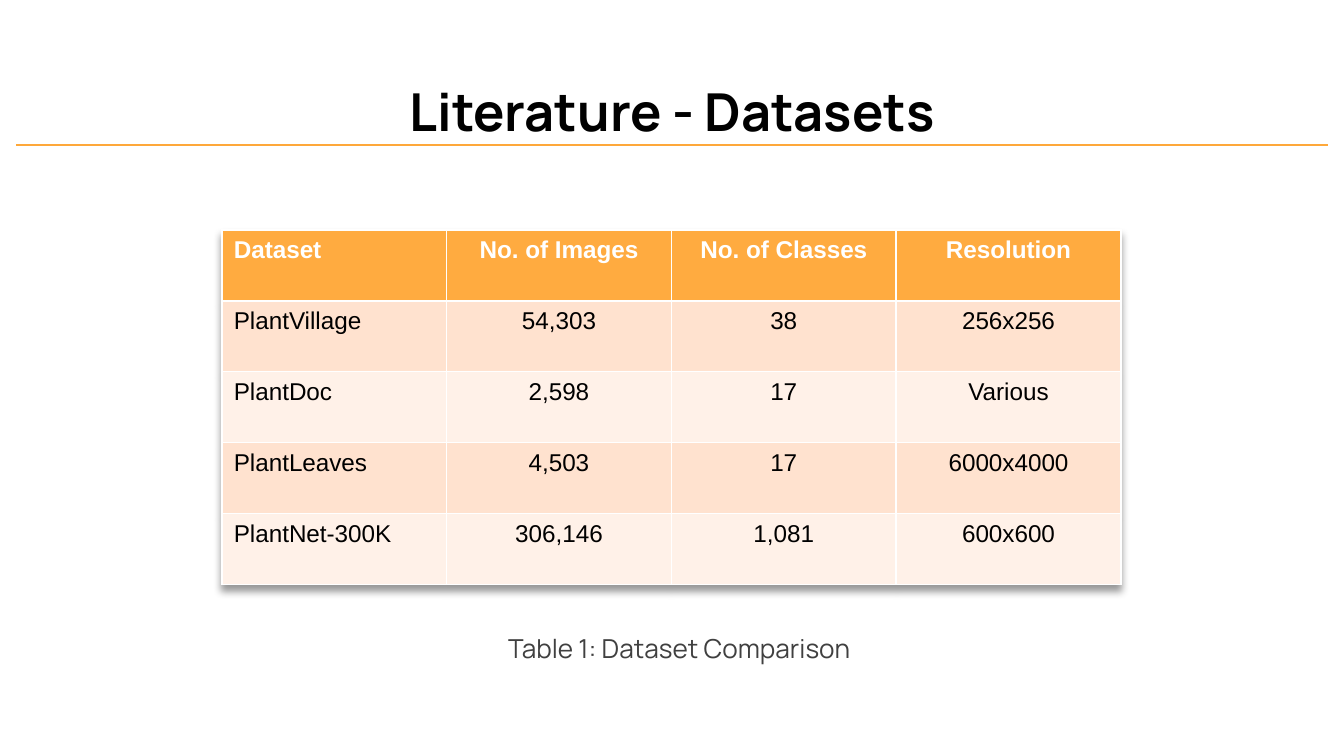
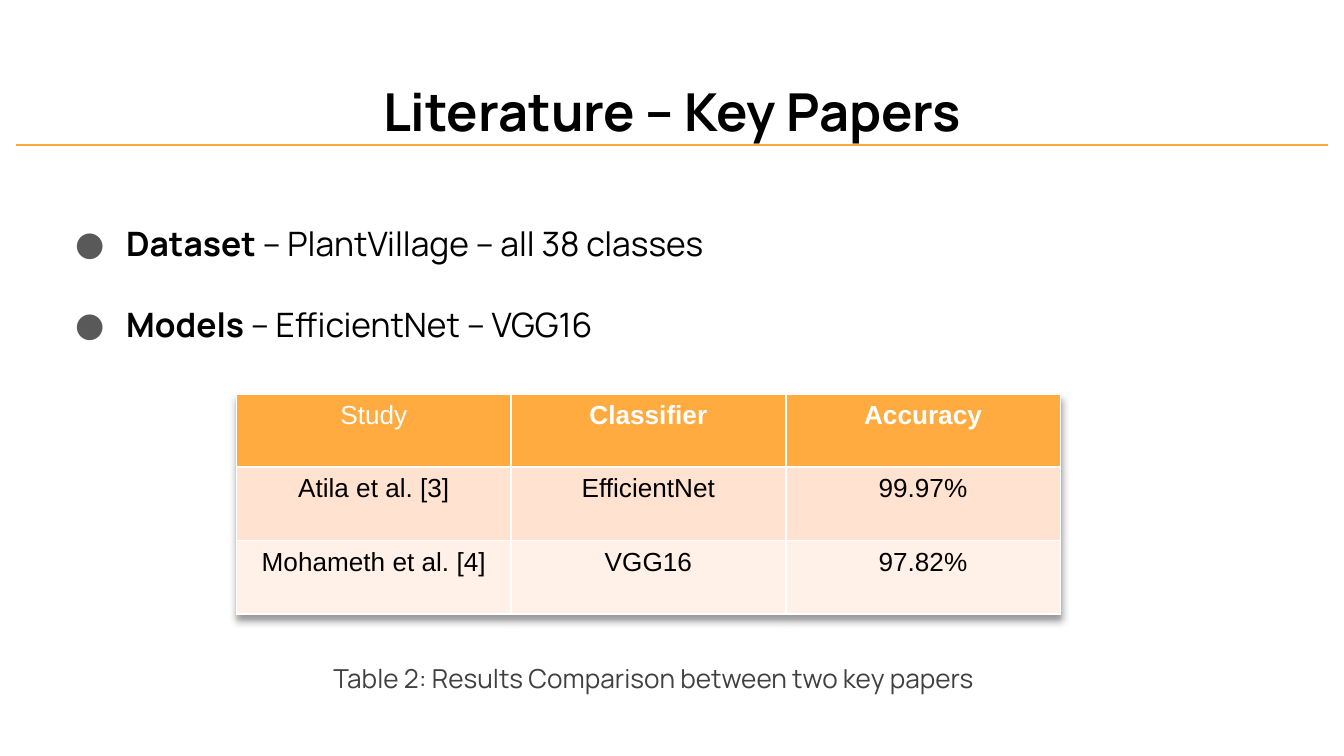
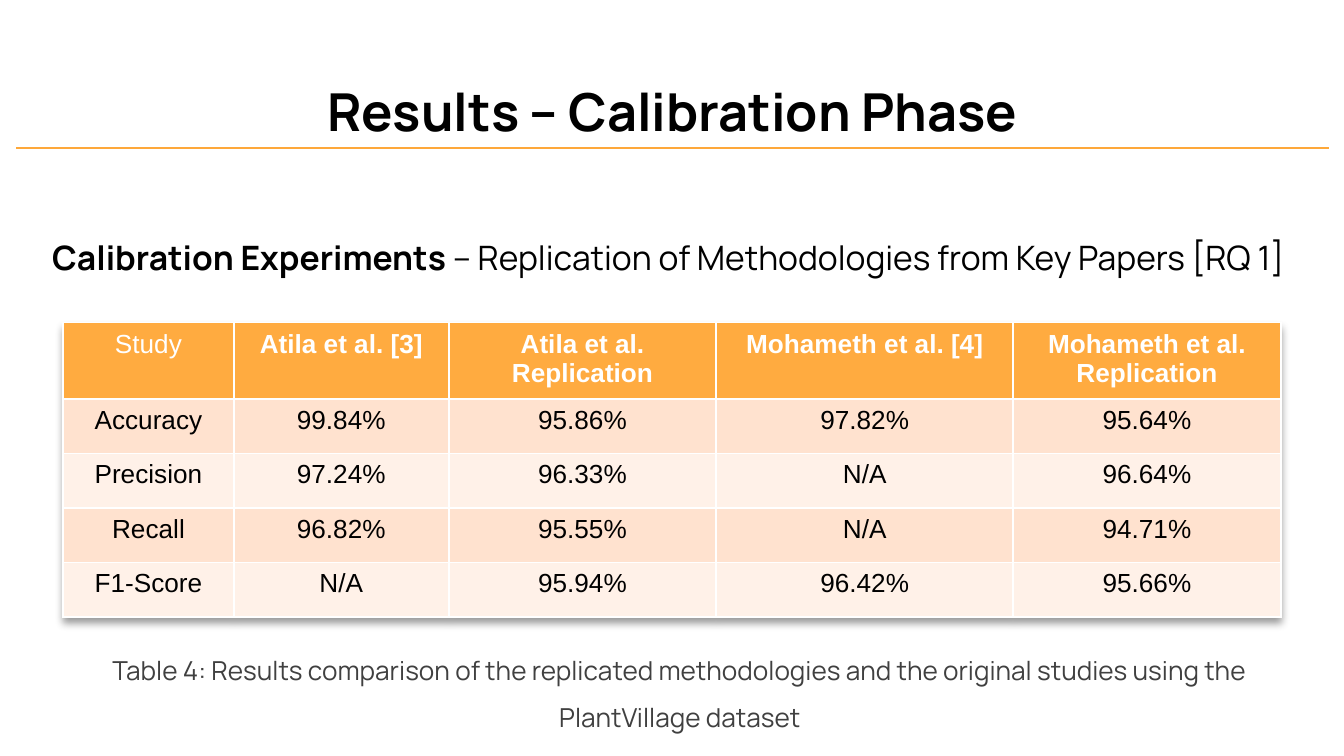
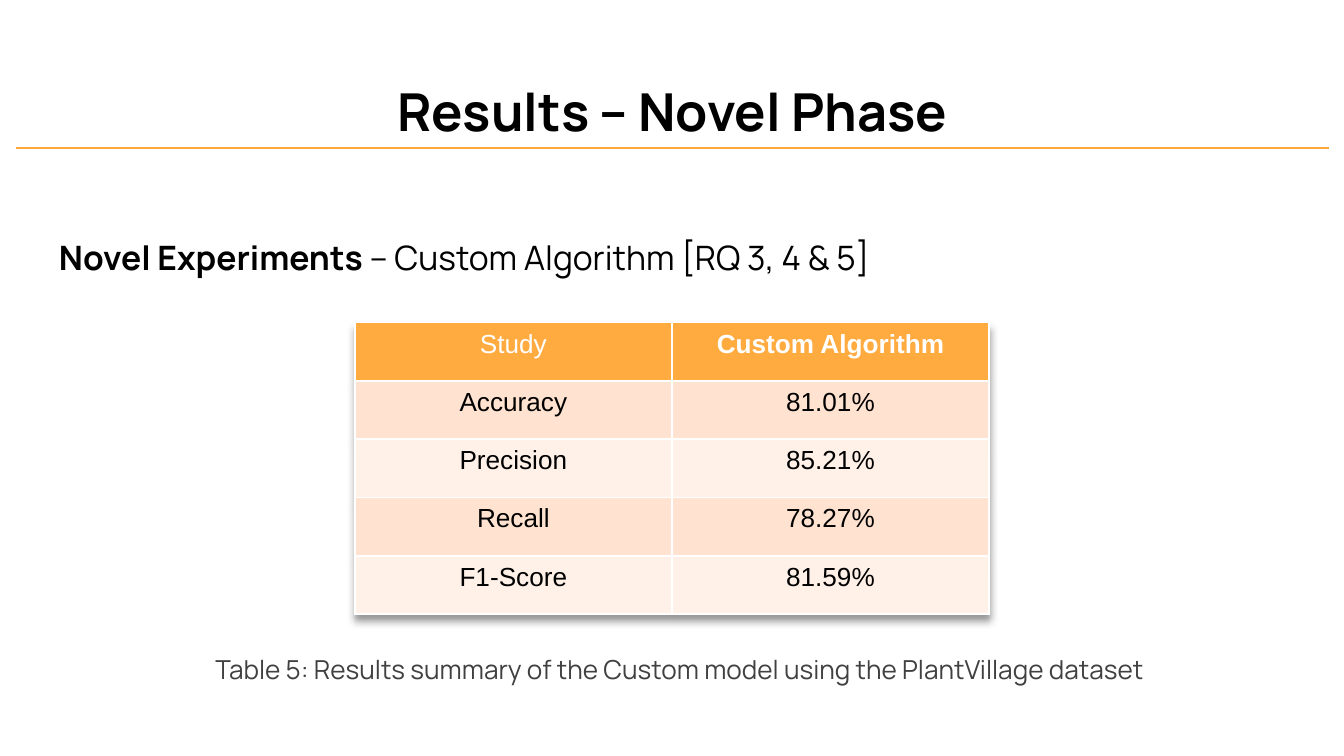
import pptx
import pptx.dml.color
import pptx.enum.shapes
import pptx.enum.text
import pptx.oxml
import pptx.oxml.ns
import pptx.util
from lxml import etree
from pptx.util import Inches

ALIGN = pptx.enum.text.PP_ALIGN
ANCHOR = pptx.enum.text.MSO_ANCHOR
NAMESPACE = pptx.oxml.ns.nsdecls("a")
BLACK, WHITE, GREY, BULLET = "000000", "FFFFFF", "404040", "595959"
RULE, HEADER, BANDS = "FEA83A", "FFAB40", ["FFF1E8", "FFE2CF"]
TITLE_BOX = (0.34, 0.49, 9.32, 0.63)
SHADOW = (
    f'<a:effectLst {NAMESPACE}><a:outerShdw blurRad="50800" dist="38100" dir="5400000" '
    'algn="t" rotWithShape="0"><a:srgbClr val="000000"><a:alpha val="40000"/>'
    '</a:srgbClr></a:outerShdw></a:effectLst>'
)
BULLET_PARTS = [
    f'<a:buClr {NAMESPACE}><a:srgbClr val="{BULLET}"/></a:buClr>',
    f'<a:buFont {NAMESPACE} typeface="Manrope"/>',
    f'<a:buChar {NAMESPACE} char="●"/>',
]


def color(value):
    return pptx.dml.color.RGBColor.from_string(value)


def add_text(slide, box, paragraphs, size, ink, align, spacing=1.0, indent=0.0,
             bulleted=False, anchor=ANCHOR.TOP):
    frame = slide.shapes.add_textbox(*map(Inches, box)).text_frame
    frame.word_wrap = True
    frame.vertical_anchor = anchor
    frame.margin_left = frame.margin_right = Inches(0.1)
    frame.margin_top = frame.margin_bottom = Inches(0.1)
    for index, runs in enumerate(paragraphs):
        paragraph = frame.paragraphs[0] if index == 0 else frame.add_paragraph()
        paragraph.alignment = align
        paragraph.line_spacing = spacing
        paragraph.font.name = "Manrope"
        paragraph.font.size = pptx.util.Pt(size)
        paragraph.font.color.rgb = color(ink)
        for text, bold in runs:
            run = paragraph.add_run()
            run.text = text
            run.font.bold = bold
        properties = paragraph._p.get_or_add_pPr()
        properties.set("marL", str(Inches(indent)))
        if bulleted:
            properties.set("indent", str(Inches(-0.38)))
            for part in BULLET_PARTS:
                properties.insert_element_before(pptx.oxml.parse_xml(part), "a:defRPr")


slides = [
    {
        "title": "Literature - Datasets",
        "rule": (0.12, 9.88, 1.08),
        "body": [],
        "table_box": (1.65, 1.71, 6.69, 2.64),
        "column_shares": [1] * 4,
        "size": 13,
        "first_column": ALIGN.LEFT,
        "margin": 0.09,
        "rows": [
            ["Dataset", "No. of Images", "No. of Classes", "Resolution"],
            ["PlantVillage", "54,303", "38", "256x256"],
            ["PlantDoc", "2,598", "17", "Various"],
            ["PlantLeaves", "4,503", "17", "6000x4000"],
            ["PlantNet-300K", "306,146", "1,081", "600x600"],
        ],
        "caption_box": (1.65, 4.35, 6.69, 0.6),
        "caption": ["Table 1: Dataset Comparison"],
        "caption_spacing": 2.5,
    },
    {
        "title": "Literature – Key Papers",
        "rule": (0.12, 9.88, 1.08),
        "body": [
            [("Dataset ", True), ("– PlantVillage – all 38 classes", False)],
            [("Models", True), (" – EfficientNet – VGG16", False)],
        ],
        "body_box": (0.34, 1.26, 9.32, 3.74),
        "table_box": (1.76, 2.93, 6.13, 1.64),
        "column_shares": [1] * 3,
        "rows": [
            ["Study", "Classifier", "Accuracy"],
            ["Atila et al. [3]", "EfficientNet", "99.97%"],
            ["Mohameth et al. [4]", "VGG16", "97.82%"],
        ],
        "caption_box": (1.76, 4.57, 6.13, 0.6),
        "caption": ["Table 2: Results Comparison between two key papers "],
        "caption_spacing": 2.5,
    },
    {
        "title": "Results – Calibration Phase",
        "rule": (0.12, 9.89, 1.1),
        "body": [[("Calibration Experiments", True),
                  (" – Replication of Methodologies from Key Papers [RQ 1]", False)]],
        "body_box": (0.17, 1.36, 9.65, 3.74),
        "table_box": (0.47, 2.4, 9.06, 2.03),
        "column_shares": [1.27, 1.6, 1.99, 2.21, 1.99],
        "rows": [
            ["Study", "Atila et al. [3]", "Atila et al.\nReplication",
             "Mohameth et al. [4]", "Mohameth et al.\nReplication"],
            ["Accuracy", "99.84%", "95.86%", "97.82%", "95.64%"],
            ["Precision", "97.24%", "96.33%", "N/A", "96.64%"],
            ["Recall", "96.82%", "95.55%", "N/A", "94.71%"],
            ["F1-Score", "N/A", "95.94%", "96.42%", "95.66%"],
        ],
        "caption_box": (0.47, 4.8, 9.06, 0.6),
        "caption": [
            "Table 4: Results comparison of the replicated methodologies "
            "and the original studies using the",
            "PlantVillage dataset",
        ],
        "caption_spacing": 1.5,
    },
    {
        "title": "Results – Novel Phase",
        "rule": (0.12, 9.89, 1.1),
        "body": [[("Novel Experiments", True),
                  (" – Custom Algorithm [RQ 3, 4 & 5]", False)]],
        "body_box": (0.22, 1.36, 9.55, 3.74),
        "table_box": (2.64, 2.4, 4.72, 2.17),
        "column_shares": [1] * 2,
        "rows": [
            ["Study", "Custom Algorithm"],
            ["Accuracy", "81.01%"],
            ["Precision", "85.21%"],
            ["Recall", "78.27%"],
            ["F1-Score", "81.59%"],
        ],
        "caption_box": (1.29, 4.62, 7.42, 0.6),
        "caption": ["Table 5: Results summary of the Custom model using the PlantVillage dataset"],
        "caption_spacing": 1.5,
    },
]

presentation = pptx.Presentation()
presentation.slide_width = Inches(10)
presentation.slide_height = Inches(10) * 9 // 16

for content in slides:
    slide = presentation.slides.add_slide(presentation.slide_layouts[6])
    add_text(slide, TITLE_BOX, [[(content["title"], True)]], 28, BLACK, ALIGN.CENTER)

    if content["body"]:
        bulleted = len(content["body"]) > 1
        add_text(slide, content["body_box"], content["body"], 18, BLACK, ALIGN.LEFT,
                 spacing=2.0, indent=0.5 if bulleted else 0.12, bulleted=bulleted)

    left, right, height = map(Inches, content["rule"])
    rule = slide.shapes.add_connector(
        pptx.enum.shapes.MSO_CONNECTOR.STRAIGHT, left, height, right, height)
    rule.line.color.rgb = color(RULE)
    rule.line.width = pptx.util.Pt(1)
    etree.SubElement(rule._element.spPr, pptx.oxml.ns.qn("a:effectLst"))

    rows, shares = content["rows"], content["column_shares"]
    left, top, width, height = map(Inches, content["table_box"])
    table = slide.shapes.add_table(len(rows), len(shares), left, top, width, height).table
    table._tbl.tblPr.insert(0, pptx.oxml.parse_xml(SHADOW))
    for column, share in zip(table.columns, shares):
        column.width = int(width * share / sum(shares))
    for row_index, values in enumerate(rows):
        is_header = row_index == 0
        for column_index, value in enumerate(values):
            cell = table.cell(row_index, column_index)
            cell.text = value
            cell.margin_left = cell.margin_right = Inches(content.get("margin", 0.1))
            for side in ("lnL", "lnR", "lnT", "lnB"):
                cell._tc.get_or_add_tcPr().append(pptx.oxml.parse_xml(
                    f'<a:{side} {NAMESPACE} w="{pptx.util.Pt(1)}"><a:solidFill>'
                    f'<a:srgbClr val="{WHITE}"/></a:solidFill></a:{side}>'))
            cell.fill.solid()
            cell.fill.fore_color.rgb = color(HEADER if is_header else BANDS[row_index % 2])
            for paragraph in cell.text_frame.paragraphs:
                paragraph.alignment = ALIGN.CENTER
                if column_index == 0:
                    paragraph.alignment = content.get("first_column", ALIGN.CENTER)
                paragraph.font.name = "Arial"
                paragraph.font.size = pptx.util.Pt(content.get("size", 14))
                paragraph.font.bold = is_header and value != "Study"
                paragraph.font.color.rgb = color(WHITE if is_header else BLACK)

    add_text(slide, content["caption_box"], [[(line, False)] for line in content["caption"]],
             14, GREY, ALIGN.CENTER, spacing=content["caption_spacing"], indent=0.12,
             anchor=ANCHOR.MIDDLE)

presentation.save("out.pptx")
